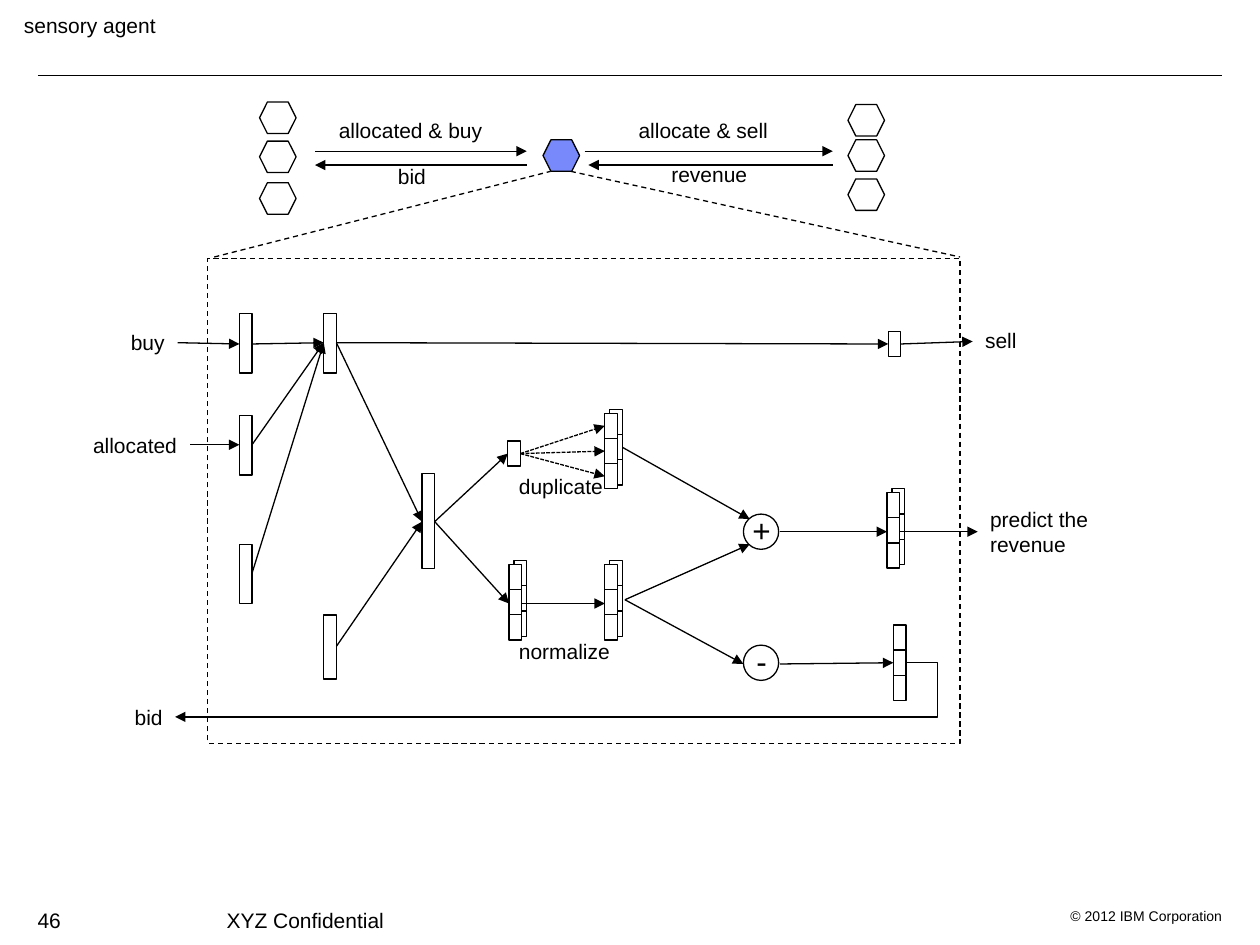
from typing import NamedTuple

from lxml import etree
from pptx import Presentation
from pptx.dml.color import RGBColor
from pptx.enum.dml import MSO_LINE
from pptx.enum.shapes import MSO_CONNECTOR, MSO_SHAPE
from pptx.enum.text import MSO_ANCHOR, PP_ALIGN
from pptx.oxml.ns import qn
from pptx.util import Emu, Pt

PX = 9144  # EMU in one px, 100 px to the inch
INK, PAPER, BLUE = "000000", "FFFFFF", "7889FB"
FONT = "Arial"
RECT, OVAL, HEX = MSO_SHAPE.RECTANGLE, MSO_SHAPE.OVAL, MSO_SHAPE.HEXAGON
STRAIGHT, ELBOW = MSO_CONNECTOR.STRAIGHT, MSO_CONNECTOR.ELBOW
DASH, FINE = MSO_LINE.DASH, MSO_LINE.SQUARE_DOT
LEFT, MID, RIGHT = PP_ALIGN.LEFT, PP_ALIGN.CENTER, PP_ALIGN.RIGHT
TOP = MSO_ANCHOR.TOP


class Box(NamedTuple):
    x: int
    y: int
    w: int
    h: int


class Link(NamedTuple):
    x1: int
    y1: int
    x2: int
    y2: int


class Label(NamedTuple):
    text: str
    box: Box


def px(num: int) -> Emu:
    return Emu(num * PX)


def color(code: str) -> RGBColor:
    return RGBColor.from_string(code)


def pen(line, dash=None) -> None:
    line.color.rgb = color(INK)
    line.width = Pt(0.75)
    if dash is not None:
        line.dash_style = dash


def write(shape, text: str, size: int = 12, align=LEFT, wrap: bool = False,
          space: float = 1.0) -> None:
    frame = shape.text_frame
    frame.word_wrap = wrap
    frame.vertical_anchor = TOP
    para = frame.paragraphs[0]
    para.text = text
    para.alignment = align
    para.line_spacing = space
    for run in para.runs:
        run.font.name = FONT
        run.font.size = Pt(size)
        run.font.color.rgb = color(INK)
    for gap in para._p.findall(qn("a:br")):
        etree.SubElement(gap, qn("a:rPr"), sz=str(size * 100))


def label(slide, text: str, box: Box, **form) -> None:
    write(slide.shapes.add_textbox(*map(px, box)), text, **form)


def draw(slide, box: Box, kind=RECT, fill: str | None = PAPER, dash=None) -> None:
    shape = slide.shapes.add_shape(kind, *map(px, box))
    shape.shadow.inherit = False
    if fill is None:
        shape.fill.background()
    else:
        shape.fill.solid()
        shape.fill.fore_color.rgb = color(fill)
    pen(shape.line, dash)


def stack(slide, x: int, y: int) -> None:
    for row in range(3):
        draw(slide, Box(x, y + 20 * row, 10, 20))


def connect(slide, link: Link, kind=STRAIGHT, dash=None, arrow: bool = True):
    wire = slide.shapes.add_connector(kind, *map(px, link))
    pen(wire.line, dash)
    props = wire._element.spPr
    if arrow:
        etree.SubElement(props.find(qn("a:ln")), qn("a:tailEnd"), type="triangle")
    etree.SubElement(props, qn("a:effectLst"))
    return wire


HEXES = [(206, 81), (206, 112), (206, 145), (673, 83), (673, 111), (673, 142)]
BARS = [
    Box(190, 249, 10, 47), Box(190, 330, 10, 47), Box(190, 432, 10, 47),
    Box(257, 249, 10, 47), Box(257, 488, 10, 51), Box(335, 376, 10, 75),
    Box(403, 350, 10, 20), Box(705, 263, 10, 20),
]
PAIRS = [(480, 328), (480, 448), (404, 448), (704, 391)]
NODES = [("+", 408), ("-", 512)]
ARROWS = [
    # Between the agents
    Link(250, 120, 418, 120), Link(418, 131, 250, 131),
    Link(464, 120, 661, 120), Link(661, 131, 467, 131),
    # Inputs
    Link(141, 272, 190, 273), Link(151, 353, 190, 353),
    Link(200, 273, 257, 272), Link(200, 353, 257, 272), Link(200, 455, 257, 272),
    # Hidden layers
    Link(267, 272, 705, 273), Link(267, 272, 335, 414), Link(267, 513, 335, 414),
    Link(345, 414, 403, 360), Link(345, 414, 404, 479), Link(414, 479, 480, 479),
    # Sum and difference
    Link(494, 355, 595, 412), Link(496, 476, 595, 432), Link(496, 476, 590, 527),
    Link(619, 422, 704, 422), Link(619, 527, 709, 526),
    # Outputs
    Link(715, 273, 772, 271), Link(714, 422, 776, 422),
]
LABELS = [
    Label("allocated & buy", Box(259, 88, 135, 30)),
    Label("bid", Box(306, 125, 42, 30)),
    Label("allocate & sell", Box(497, 88, 126, 30)),
    Label("revenue", Box(523, 123, 81, 30)),
    Label("buy", Box(94, 257, 47, 30)),
    Label("allocated", Box(64, 338, 87, 30)),
    Label("bid", Box(97, 554, 42, 30)),
    Label("sell", Box(772, 255, 45, 30)),
    Label("predict the \nrevenue", Box(776, 397, 103, 50)),
    Label("duplicate", Box(402, 371, 87, 30)),
    Label("normalize", Box(402, 502, 93, 30)),
]


def main() -> None:
    deck = Presentation()
    deck.slide_width, deck.slide_height = px(1000), px(750)
    slide = deck.slides.add_slide(deck.slide_layouts[5])

    # Title and rule
    title = slide.shapes.title
    title.left, title.top, title.width, title.height = map(px, (9, 5, 280, 30))
    write(title, "sensory agent", wrap=True)
    connect(slide, Link(30, 60, 970, 60), arrow=False)

    # Agents and the zoomed frame
    for x, y in HEXES:
        draw(slide, Box(x, y, 29, 25), HEX)
    draw(slide, Box(431, 111, 29, 25), HEX, BLUE)
    for link in (Link(170, 204, 437, 136), Link(453, 136, 762, 204)):
        connect(slide, link, dash=DASH, arrow=False)
    draw(slide, Box(165, 205, 597, 385), fill=None, dash=DASH)

    # Layers, with doubled stacks set off behind
    for bar in BARS:
        draw(slide, bar)
    for x, y in PAIRS:
        stack(slide, x + 4, y - 3)
        stack(slide, x, y)
    stack(slide, 709, 496)

    # Operators
    for sign, y in NODES:
        draw(slide, Box(590, y, 28, 28), OVAL)
        label(slide, sign, Box(587, y - 4, 35, 37), size=18, align=MID, space=0.9)

    # Arrows
    for link in ARROWS:
        connect(slide, link)
    for y in (338, 358, 378):
        connect(slide, Link(413, 360, 480, y), dash=FINE)
    back = connect(slide, Link(719, 526, 139, 569), ELBOW)
    geom = back._element.spPr.find(qn("a:prstGeom"))
    etree.SubElement(geom.find(qn("a:avLst")), qn("a:gd"), name="adj1", fmla="val -4300")

    # Labels and footer
    for item in LABELS:
        label(slide, item.text, item.box)
    label(slide, "46", Box(20, 715, 40, 20), wrap=True)
    label(slide, "XYZ Confidential", Box(170, 715, 650, 20), wrap=True)
    label(slide, "© 2012 IBM Corporation", Box(830, 715, 150, 20),
          size=8, align=RIGHT, wrap=True)

    deck.save("out.pptx")


if __name__ == "__main__":
    main()
